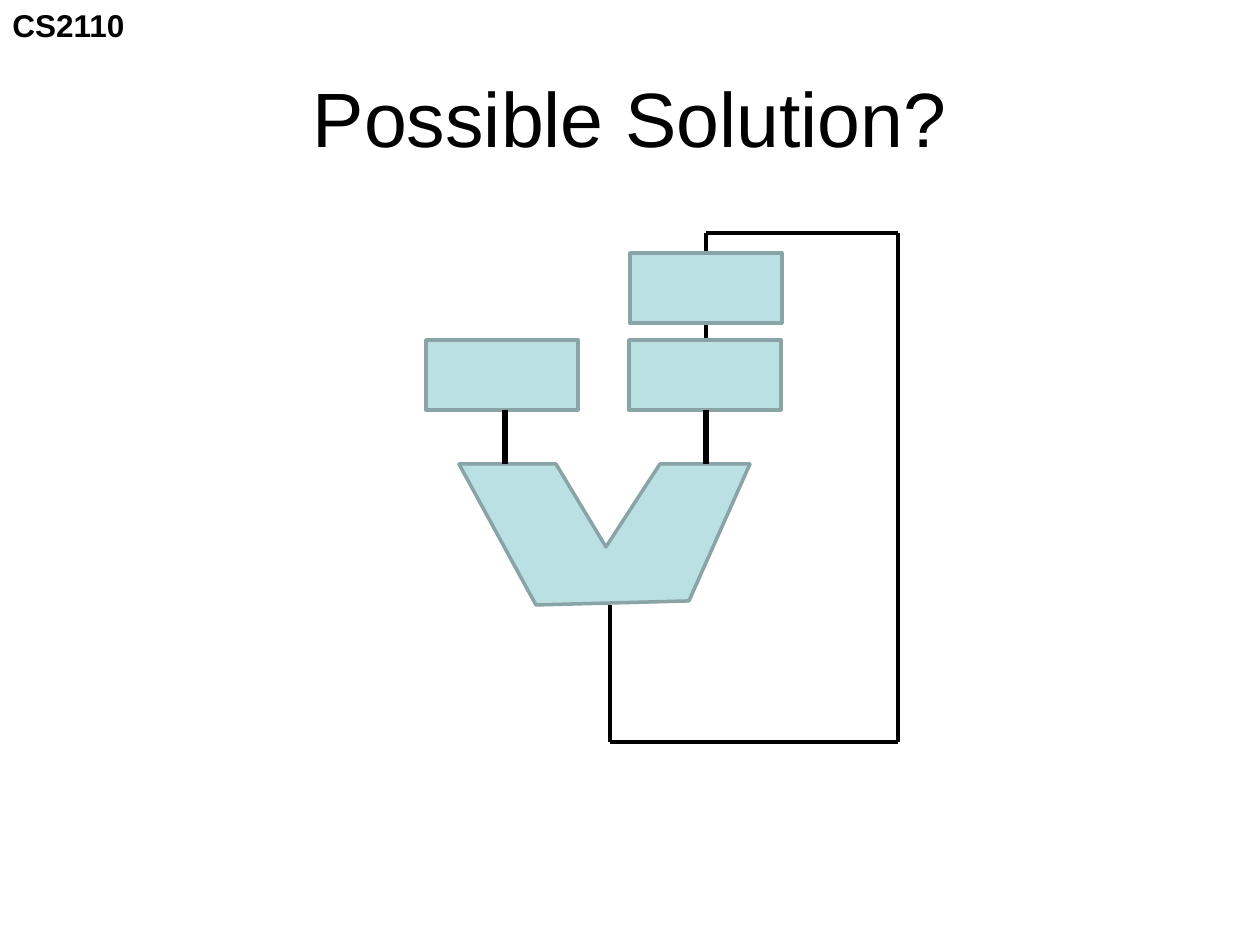
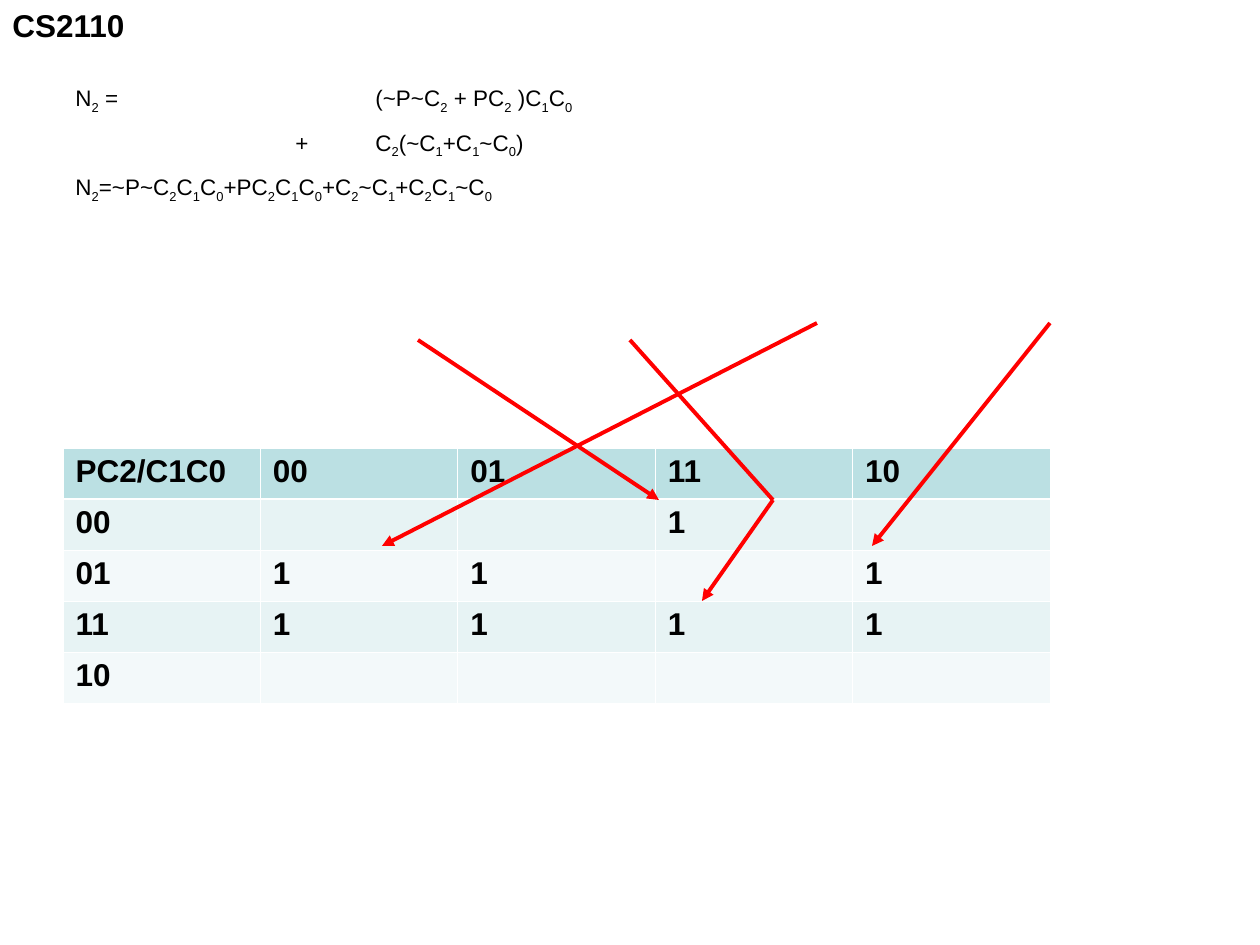
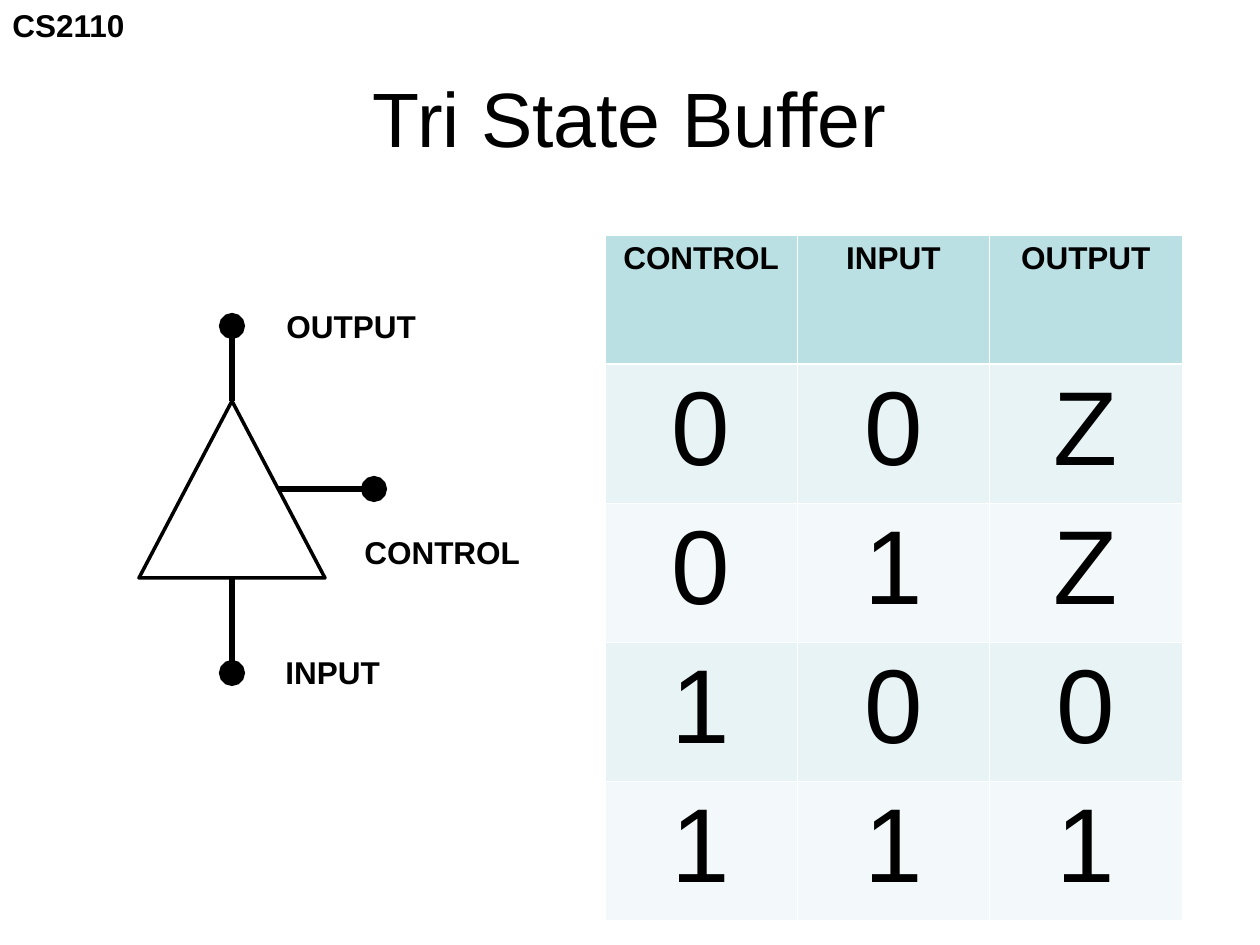
"""Build three CS2110 slides: a feedback circuit, a Karnaugh map and a tri-state buffer."""
from lxml import etree
from pptx import Presentation
from pptx.dml.color import RGBColor
from pptx.enum.shapes import MSO_CONNECTOR, MSO_SHAPE
from pptx.enum.text import MSO_ANCHOR, PP_ALIGN
from pptx.oxml.ns import qn
from pptx.util import Pt

PX = 7257.14
FONT = "Arial"
COLORS = {
    "black": "000000", "white": "FFFFFF", "red": "FF0000",
    "teal": "BBE0E3", "outline": "89A4A7", "band": "E7F3F4", "pale": "F3F9FA",
}
RGB = {name: RGBColor.from_string(value) for name, value in COLORS.items()}


def draw_path(slide, points, color="black", width=2.25, end=None, end_size="med"):
    """Join the points with straight connectors; the last one gets the end mark."""
    for start, stop in zip(points, points[1:]):
        ends = [round(value * PX) for value in (*start, *stop)]
        connector = slide.shapes.add_connector(MSO_CONNECTOR.STRAIGHT, *ends)
        connector.line.color.rgb = RGB[color]
        connector.line.width = Pt(width)
        properties = connector.element.spPr
        etree.SubElement(properties, qn("a:effectLst"))
    if end:
        line = properties.find(qn("a:ln"))
        etree.SubElement(line, qn("a:tailEnd"), type=end, w=end_size, len=end_size)


def add_grid(slide, rows, box, header_height, body_size, body_bold, align):
    """Add a banded table with white rules and a teal header row."""
    frame = slide.shapes.add_table(len(rows), len(rows[0]), *[round(value * PX) for value in box])
    table = frame.table
    table.first_row = table.horz_banding = False
    body_height = (box[3] - header_height) / (len(rows) - 1)
    for row_index, values in enumerate(rows):
        is_header = row_index == 0
        table.rows[row_index].height = round((header_height if is_header else body_height) * PX)
        fill = "teal" if is_header else ("pale", "band")[row_index % 2]
        for column_index, value in enumerate(values):
            cell = table.cell(row_index, column_index)
            cell.fill.solid()
            cell.fill.fore_color.rgb = RGB[fill]
            cell.text = value
            paragraph = cell.text_frame.paragraphs[0]
            paragraph.alignment = align
            paragraph.font.name = FONT
            paragraph.font.size = Pt(18 if is_header else body_size)
            paragraph.font.bold = is_header or body_bold
            paragraph.font.color.rgb = RGB["black"]
            cell_properties = cell._tc.get_or_add_tcPr()
            for position, side in enumerate("LRTB"):
                is_heavy = (row_index, side) in ((0, "B"), (1, "T"))
                border = etree.Element(qn(f"a:ln{side}"), w=str(Pt(1.47 if is_heavy else 0.45)))
                solid = etree.SubElement(border, qn("a:solidFill"))
                etree.SubElement(solid, qn("a:srgbClr"), val=COLORS["white"])
                cell_properties.insert(position, border)


presentation = Presentation()
presentation.slide_width = round(1260 * PX)
presentation.slide_height = round(945 * PX)
title_layout, blank_layout = presentation.slide_layouts[5], presentation.slide_layouts[6]
circuit_slide, map_slide, buffer_slide = [
    presentation.slides.add_slide(layout)
    for layout in (title_layout, blank_layout, title_layout)
]

for slide, text in ((circuit_slide, "Possible Solution?"), (buffer_slide, "Tri State Buffer")):
    title = slide.shapes.title
    title.left, title.top, title.width, title.height = [
        round(value * PX) for value in (63, 38, 1134, 157)
    ]
    title.text_frame.text = text
    title.text_frame.vertical_anchor = MSO_ANCHOR.MIDDLE
    paragraph = title.text_frame.paragraphs[0]
    paragraph.alignment = PP_ALIGN.CENTER
    paragraph.font.name = FONT
    paragraph.font.size = Pt(44)
    paragraph.font.color.rgb = RGB["black"]

draw_path(circuit_slide, [(610, 605), (610, 742), (898, 742), (898, 233), (706, 233), (706, 340)])
alu_points = [(459, 464), (536, 605), (689, 601), (750, 464), (660, 464), (606, 547), (556, 464)]
builder = circuit_slide.shapes.build_freeform(*alu_points[0], scale=PX)
builder.add_line_segments(alu_points[1:], close=True)
blocks = [builder.convert_to_shape()]
for left, top in ((426, 340), (629, 340), (630, 253)):
    blocks.append(circuit_slide.shapes.add_shape(
        MSO_SHAPE.RECTANGLE, *[round(value * PX) for value in (left, top, 152, 70)]))
for shape in blocks:
    shape.shadow.inherit = False
    shape.fill.solid()
    shape.fill.fore_color.rgb = RGB["teal"]
    shape.line.color.rgb = RGB["outline"]
    shape.line.width = Pt(2)
for x in (505, 706):
    draw_path(circuit_slide, [(x, 410), (x, 464)], width=3)

equation_box = map_slide.shapes.add_textbox(*[round(value * PX) for value in (63, 78, 1134, 262)])
equation_box.text_frame.word_wrap = True
equations = [
    "N_2 = \t\t(~P~C_2 + PC_2 )C_1C_0",
    "\t+\tC_2(~C_1+C_1~C_0)",
    "N_2=~P~C_2C_1C_0+PC_2C_1C_0+C_2~C_1+C_2C_1~C_0",
]
for index, equation in enumerate(equations):
    frame = equation_box.text_frame
    paragraph = frame.add_paragraph() if index else frame.paragraphs[0]
    paragraph.space_before = Pt(8 if index else 0)
    tabs = etree.SubElement(paragraph._p.get_or_add_pPr(), qn("a:tabLst"))
    for position in (220, 300):
        etree.SubElement(tabs, qn("a:tab"), pos=str(round(position * PX)), algn="l")
    paragraph.font.name = FONT
    paragraph.font.size = Pt(12.8)
    paragraph.font.color.rgb = RGB["black"]
    first, *rest = equation.split("_")
    pieces = [(first, False)]
    for part in rest:
        pieces += [(part[0], True), (part[1:], False)]
    for text, is_subscript in pieces:
        if text:
            run = paragraph.add_run()
            run.text = text
            if is_subscript:
                run._r.get_or_add_rPr().set("baseline", "-25000")

karnaugh_rows = [
    ["PC2/C1C0", "00", "01", "11", "10"],
    ["00", "", "", "1", ""],
    ["01", "1", "1", "", "1"],
    ["11", "1", "1", "1", "1"],
    ["10", "", "", "", ""],
]
add_grid(map_slide, karnaugh_rows, (63, 448, 987, 255), 51, 18, True, PP_ALIGN.LEFT)
term_arrows = [
    [(418, 340), (659, 500)],
    [(817, 323), (382, 546)],
    [(1050, 323), (872, 546)],
    [(630, 340), (773, 500), (702, 601)],
]
for points in term_arrows:
    draw_path(map_slide, points, "red", end="triangle")

triangle = buffer_slide.shapes.add_shape(
    MSO_SHAPE.ISOSCELES_TRIANGLE, *[round(value * PX) for value in (139, 401, 186, 177)])
triangle.shadow.inherit = False
triangle.fill.background()
triangle.line.color.rgb = RGB["black"]
triangle.line.width = Pt(2)
for points in ([(232, 578), (232, 673)], [(232, 401), (232, 326)], [(278, 489), (374, 489)]):
    draw_path(buffer_slide, points, width=3, end="oval", end_size="lg")
truth_rows = [["CONTROL", "INPUT", "OUTPUT"], *map(list, ("00Z", "01Z", "100", "111"))]
add_grid(buffer_slide, truth_rows, (605, 235, 577, 685), 129, 60, False, PP_ALIGN.CENTER)

labels = [
    ("CONTROL", 352, 527, 200), ("INPUT", 273, 647, 140),
    ("OUTPUT", 274, 301, 180), ("CS2110", 0, 0, 160),
]
for text, left, top, width in labels:
    label = buffer_slide.shapes.add_textbox(
        *[round(value * PX) for value in (left, top, width, 50)])
    label.text_frame.word_wrap = True
    label.text_frame.text = text
    paragraph = label.text_frame.paragraphs[0]
    paragraph.font.name = FONT
    paragraph.font.size = Pt(18)
    paragraph.font.bold = True
    paragraph.font.color.rgb = RGB["black"]

course_label = label.element
course_label.xpath("p:nvSpPr/p:cNvPr")[0].set("id", "20")
presentation.slide_master.element.cSld.spTree.append(course_label)

presentation.save("out.pptx")
